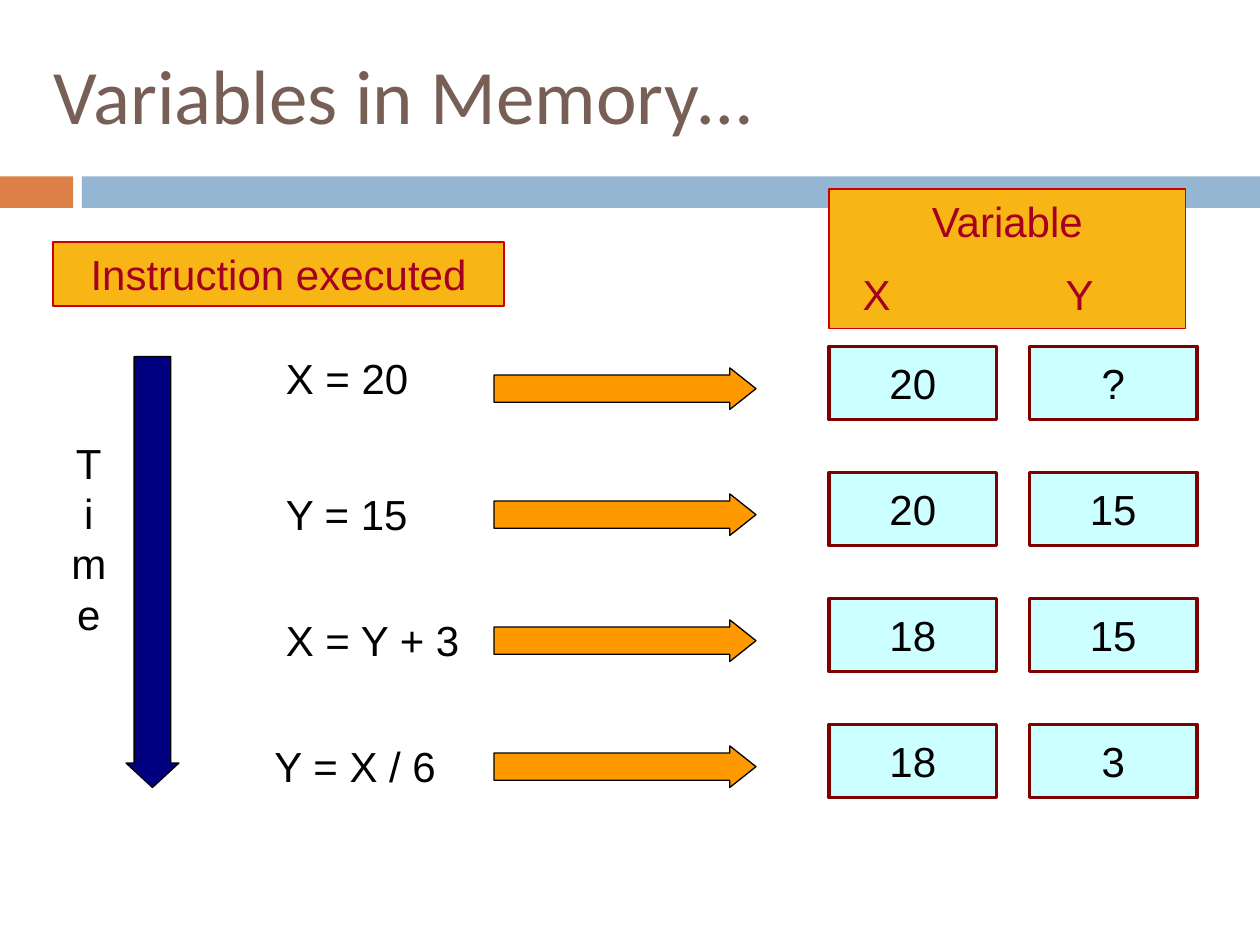
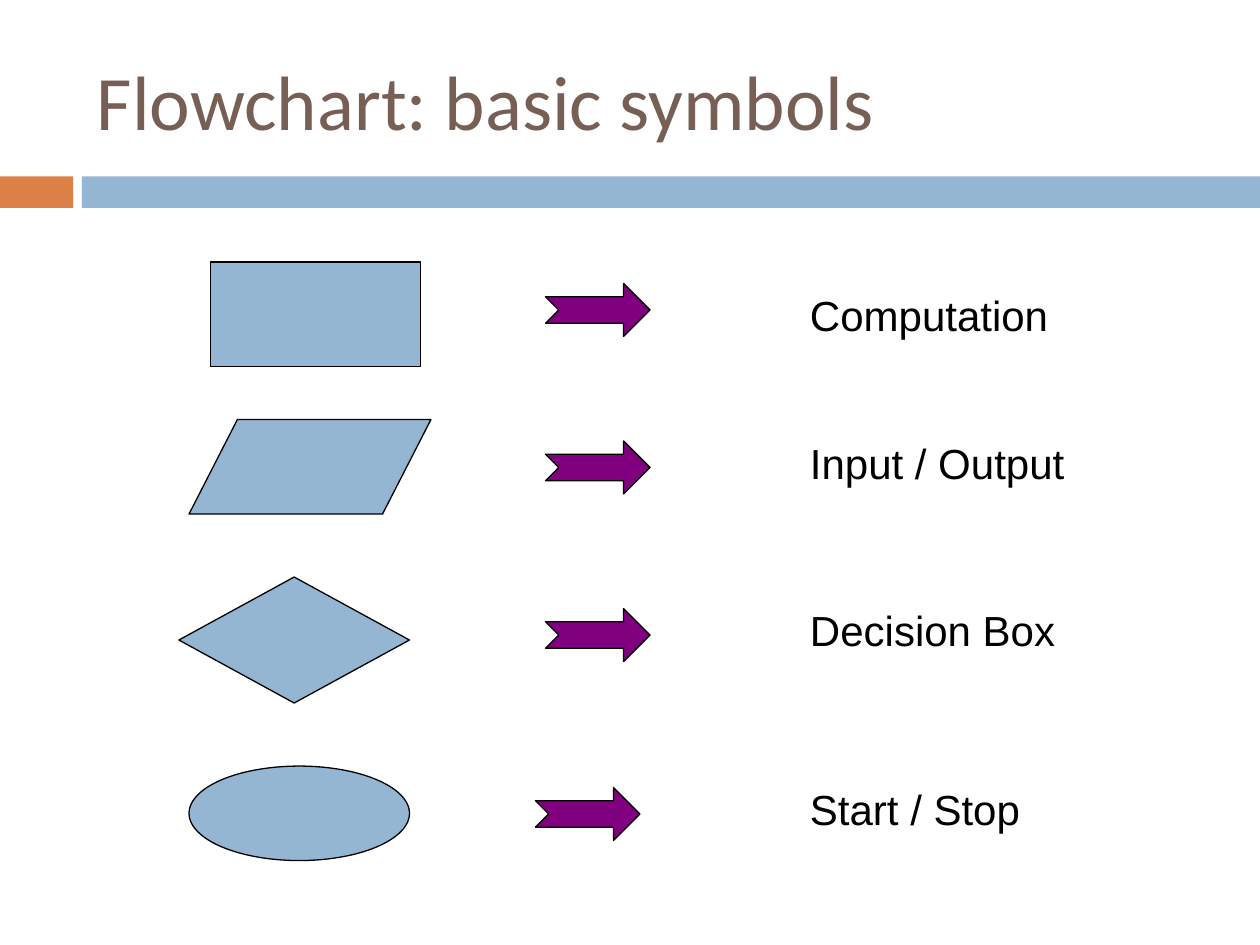
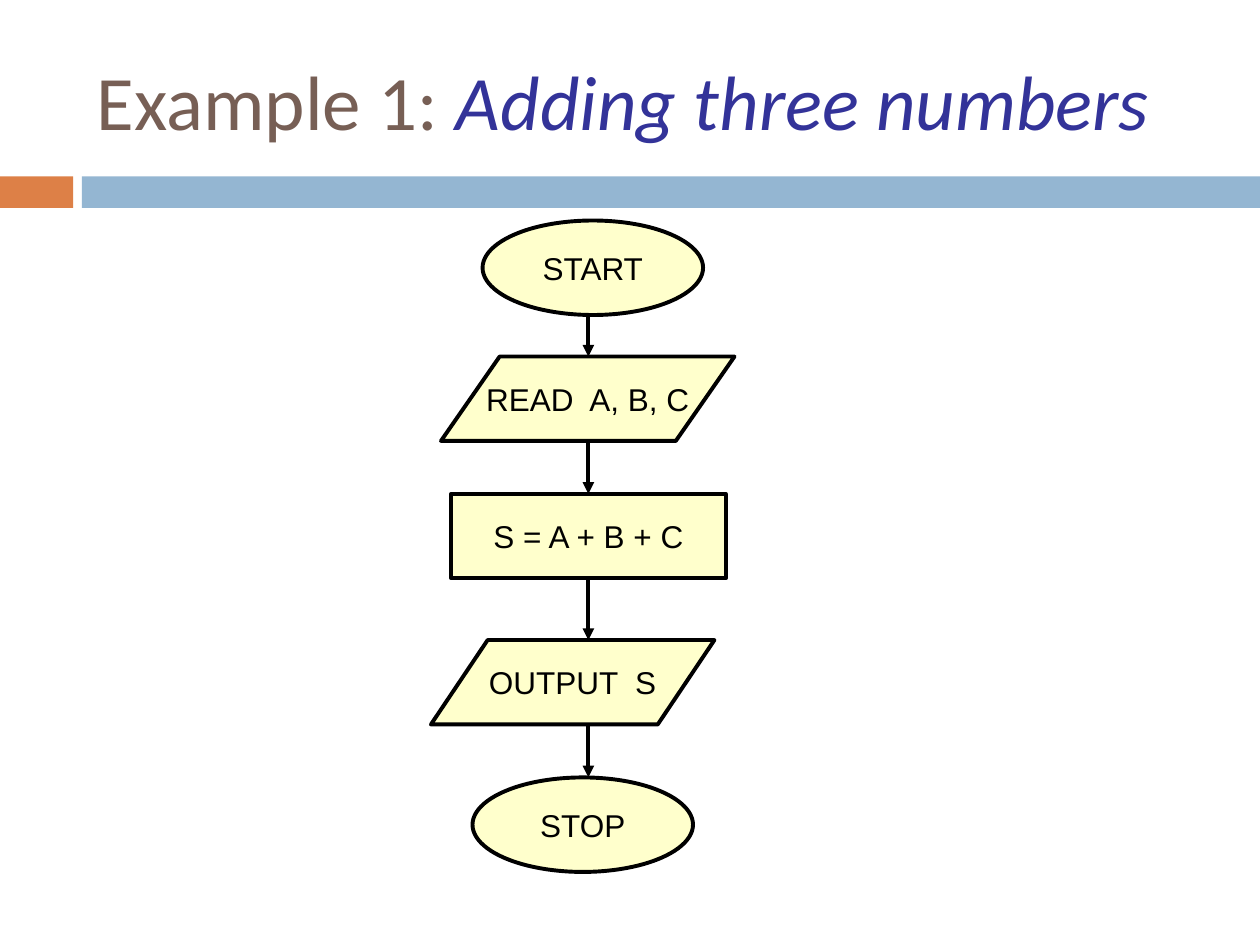
"""Build three slides on variables in memory and flowcharts."""
from lxml import etree
from pptx import Presentation
from pptx.dml.color import RGBColor
from pptx.enum.shapes import MSO_CONNECTOR, MSO_SHAPE
from pptx.enum.text import MSO_ANCHOR, PP_ALIGN
from pptx.oxml.ns import qn
from pptx.util import Inches, Pt

RECTANGLE = MSO_SHAPE.RECTANGLE
OVAL = MSO_SHAPE.OVAL
PROCESS = MSO_SHAPE.FLOWCHART_PROCESS
DATA = MSO_SHAPE.FLOWCHART_DATA
DECISION = MSO_SHAPE.FLOWCHART_DECISION
RIGHT_ARROW = MSO_SHAPE.RIGHT_ARROW
DOWN_ARROW = MSO_SHAPE.DOWN_ARROW
NOTCHED_ARROW = MSO_SHAPE.NOTCHED_RIGHT_ARROW
STRAIGHT = MSO_CONNECTOR.STRAIGHT
LEFT, CENTER = PP_ALIGN.LEFT, PP_ALIGN.CENTER
TOP, MIDDLE = MSO_ANCHOR.TOP, MSO_ANCHOR.MIDDLE

COLORS = {
    "black": "000000",
    "title": "775F55",
    "title accent": "333399",
    "orange band": "DD8047",
    "blue": "94B6D2",
    "header": "F7B615",
    "header line": "CC0000",
    "header text": "A50021",
    "cell": "CCFFFF",
    "cell line": "800000",
    "step arrow": "FF9900",
    "time arrow": "000080",
    "symbol arrow": "800080",
    "flow": "FFFFCC",
}
TITLE_FORMAT = {"name": "Calibri", "size": Pt(44)}
BODY_FORMAT = {"name": "Arial", "size": Pt(24)}
FLOW_FORMAT = {"name": "Arial", "size": Pt(18)}


def add_figure(slide, kind, place, fill, line=None, width=0.75, adjustments=()):
    shape = slide.shapes.add_shape(kind, *map(Inches, place))
    shape.shadow.inherit = False
    shape.fill.solid()
    shape.fill.fore_color.rgb = RGBColor.from_string(COLORS[fill])
    if line:
        shape.line.color.rgb = RGBColor.from_string(COLORS[line])
        shape.line.width = Pt(width)
    else:
        shape.line.fill.background()
    for index, value in enumerate(adjustments):
        shape.adjustments[index] = value
    return shape


def write(shape, paragraphs, text_format, color="black", align=LEFT, anchor=TOP, wrap=True):
    frame = shape.text_frame
    frame.word_wrap = wrap
    frame.vertical_anchor = anchor
    for index, text in enumerate(paragraphs):
        paragraph = frame.add_paragraph() if index else frame.paragraphs[0]
        paragraph.alignment = align
        run = paragraph.add_run()
        run.text = text
        run.font.color.rgb = RGBColor.from_string(COLORS[color])
        for name, value in text_format.items():
            setattr(run.font, name, value)
    return frame


presentation = Presentation()
presentation.slide_width = Inches(10)
presentation.slide_height = Inches(7.5)

titles = [
    ("Variables in Memory…", (0.33, 0.33, 8.5, 0.83)),
    ("Flowchart: basic symbols", (0.67, 0.25, 8.92, 1.08)),
    ("Example 1: ", (0.67, 0.25, 8.92, 1.08)),
]
slides = []
for title, place in titles:
    slide = presentation.slides.add_slide(presentation.slide_layouts[6])
    add_figure(slide, RECTANGLE, (0, 1.4, 0.58, 0.25), "orange band")
    add_figure(slide, RECTANGLE, (0.65, 1.4, 9.35, 0.25), "blue")
    title_box = slide.shapes.add_textbox(*map(Inches, place))
    title_frame = write(title_box, [title], TITLE_FORMAT, "title", anchor=MIDDLE)
    slides.append(slide)
memory_slide, symbols_slide, example_slide = slides

example_run = title_frame.paragraphs[0].add_run()
example_run.text = "Adding three numbers"
example_run.font.color.rgb = RGBColor.from_string(COLORS["title accent"])
for name, value in {**TITLE_FORMAT, "italic": True}.items():
    setattr(example_run.font, name, value)

variable_header = add_figure(memory_slide, RECTANGLE, (6.58, 1.5, 2.83, 1.11), "header", "header line")
variable_frame = write(variable_header, ["Variable", "\tX\tY"], BODY_FORMAT, "header text", CENTER)
names_paragraph = variable_frame.paragraphs[1]
names_paragraph.alignment = LEFT
tab_list = etree.SubElement(names_paragraph._p.get_or_add_pPr(), qn("a:tabLst"))
for position in (0.28, 1.89):
    etree.SubElement(tab_list, qn("a:tab"), pos=str(Inches(position)), algn="ctr")
names_paragraph.space_before = Pt(13)

instruction_header = add_figure(memory_slide, RECTANGLE, (0.42, 1.92, 3.58, 0.51), "header", "header line")
write(instruction_header, ["Instruction executed"], BODY_FORMAT, "header text", CENTER)

add_figure(memory_slide, DOWN_ARROW, (1, 2.83, 0.42, 3.42), "time arrow", "black", adjustments=(0.692, 0.462))
time_box = memory_slide.shapes.add_textbox(*map(Inches, (0.33, 3.42, 0.75, 2.3)))
write(time_box, "Time", BODY_FORMAT, align=CENTER)

steps = [
    ("X = 20", 2.17, 2.75, ("20", "?")),
    ("Y = 15", 2.17, 3.83, ("20", "15")),
    ("X = Y + 3", 2.17, 4.83, ("18", "15")),
    ("Y = X / 6", 2.08, 5.83, ("18", "3")),
]
for row, (instruction, left, top, values) in enumerate(steps):
    instruction_box = memory_slide.shapes.add_textbox(*map(Inches, (left, top, 1.75, 0.5)))
    write(instruction_box, [instruction], BODY_FORMAT)
    add_figure(memory_slide, RIGHT_ARROW, (3.92, 2.92 + row, 2.08, 0.33), "step arrow", "black",
               adjustments=(0.656, 0.63))
    for column, value in enumerate(values):
        cell = add_figure(memory_slide, RECTANGLE, (6.58 + 1.59 * column, 2.75 + row, 1.33, 0.58),
                          "cell", "cell line", 2)
        write(cell, [value], BODY_FORMAT, align=CENTER, anchor=MIDDLE, wrap=False)

symbols = [
    (PROCESS, (1.67, 2.08, 1.67, 0.83), (4.33, 2.25), "Computation", 2.25),
    (DATA, (1.5, 3.33, 1.92, 0.75), (4.33, 3.5), "Input / Output", 3.42),
    (DECISION, (1.42, 4.58, 1.83, 1), (4.33, 4.83), "Decision Box", 4.75),
    (OVAL, (1.5, 6.08, 1.75, 0.75), (4.25, 6.25), "Start / Stop", 6.17),
]
for kind, place, arrow_corner, meaning, meaning_top in symbols:
    add_figure(symbols_slide, kind, place, "blue", "black")
    add_figure(symbols_slide, NOTCHED_ARROW, (*arrow_corner, 0.83, 0.42), "symbol arrow", "black")
    meaning_box = symbols_slide.shapes.add_textbox(*map(Inches, (6.33, meaning_top, 2.88, 0.5)))
    write(meaning_box, [meaning], BODY_FORMAT)

flow_steps = [
    (OVAL, (3.83, 1.75, 1.75, 0.75), "START"),
    (DATA, (3.5, 2.83, 2.33, 0.67), "READ  A, B, C"),
    (RECTANGLE, (3.58, 3.92, 2.18, 0.67), "S = A + B + C"),
    (DATA, (3.42, 5.08, 2.25, 0.67), "OUTPUT  S"),
    (OVAL, (3.75, 6.17, 1.75, 0.75), "STOP"),
]
flow_shapes = []
for kind, place, text in flow_steps:
    flow_shape = add_figure(example_slide, kind, place, "flow", "black", 2.25)
    write(flow_shape, [text], FLOW_FORMAT, align=CENTER, anchor=MIDDLE, wrap=False)
    flow_shapes.append(flow_shape)

flow_center = Inches(4.67)
for upper, lower in zip(flow_shapes, flow_shapes[1:]):
    connector = example_slide.shapes.add_connector(
        STRAIGHT, flow_center, upper.top + upper.height, flow_center, lower.top)
    if upper.auto_shape_type == RECTANGLE:
        connector.begin_connect(upper, 2)
    if lower.auto_shape_type == RECTANGLE:
        connector.end_connect(lower, 0)
    connector.line.color.rgb = RGBColor.from_string(COLORS["black"])
    connector.line.width = Pt(2.25)
    etree.SubElement(connector.line._get_or_add_ln(), qn("a:tailEnd"), type="triangle")
    etree.SubElement(connector._element.spPr, qn("a:effectLst"))

presentation.save("out.pptx")
